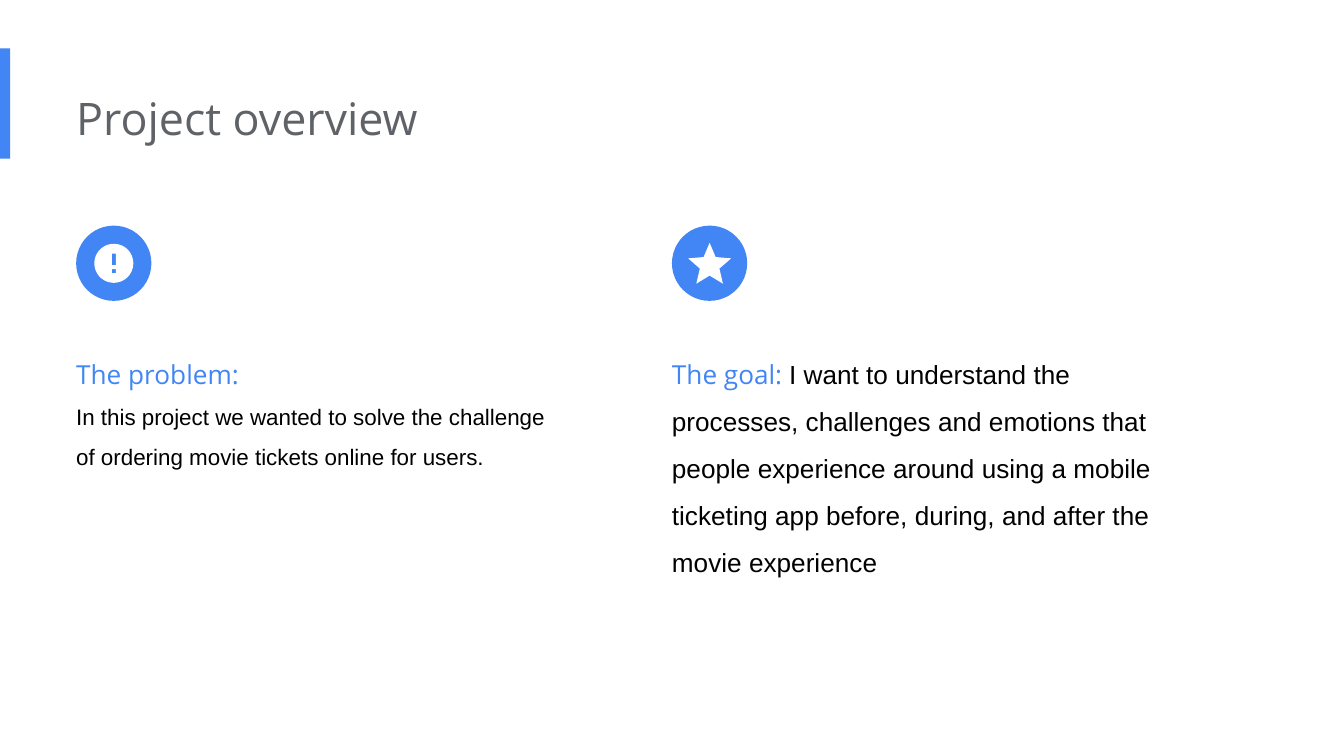
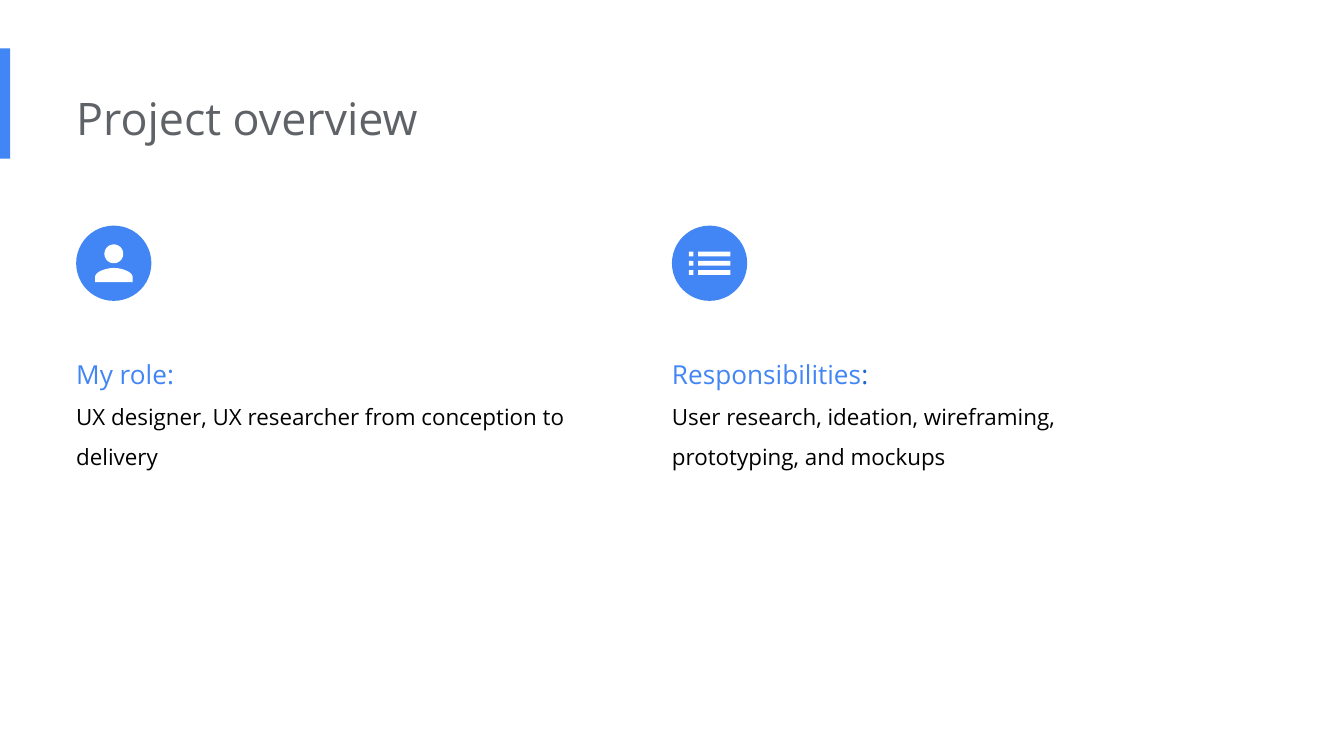
import math
from collections import namedtuple
from dataclasses import dataclass

from pptx import Presentation
from pptx import util as u
from pptx.dml import color
from pptx.enum import shapes, text

Box = namedtuple("Box", "left top width height")
Style = namedtuple("Style", "font size color")
Icon = namedtuple("Icon", "outlines width")
Card = namedtuple("Card", "icon paragraphs")


@dataclass(frozen=True)
class Theme:
    blue: str = "4285F4"
    white: str = "FFFFFF"
    title: Style = Style("Open Sans", 24, "5F6368")
    heading: Style = Style("Open Sans", 14, "4285F4")
    heading_dark: Style = Style("Open Sans", 14, "1967D2")
    body: Style = Style("Open Sans", 12, "000000")
    body_plain: Style = Style("Arial", 12, "000000")
    body_large: Style = Style("Arial", 14, "000000")
    line_spacing: float = 1.5


THEME = Theme()
WIDTH = u.Inches(10)
HEIGHT = WIDTH * 9 // 16
BADGE = u.Inches(0.56)
TEXT_DROP = u.Inches(0.77)  # from top of badge to top of text
INSET = u.Inches(0.1)


def share(left, top, width, height):
    """Box given as percentages of the slide."""
    return Box(int(WIDTH * left / 100), int(HEIGHT * top / 100),
               int(WIDTH * width / 100), int(HEIGHT * height / 100))


BAND = share(0, 6.4, 0.76, 14.6)
TITLE = share(5.67, 10.2, 67.3, 10.8)
COLUMNS = [share(left, 29.85, 37.7, 34.3) for left in (5.67, 50)]


# Icon outlines on a 24-unit grid

def rect(left, top, right, bottom):
    return [(left, top), (left, bottom), (right, bottom), (right, top)]


def circle(x, y, radius, steps=60):
    turns = [2 * math.pi * i / steps for i in range(steps)]
    return [(x + radius * math.cos(a), y + radius * math.sin(a)) for a in turns]


def curve(a, b, c, d, steps=16):
    """Points along a cubic curve."""
    points = []
    for i in range(steps + 1):
        t = i / steps
        weights = ((1 - t) ** 3, 3 * t * (1 - t) ** 2, 3 * t * t * (1 - t), t ** 3)
        points.append(tuple(sum(w * p[axis] for w, p in zip(weights, (a, b, c, d)))
                            for axis in (0, 1)))
    return points


SHOULDERS = (curve((12, 14), (9.33, 14), (4, 15.34), (4, 18)) + [(4, 20), (20, 20)]
             + curve((20, 18), (20, 15.34), (14.67, 14), (12, 14)))
ALERT = Icon([circle(12, 12, 10), rect(11, 7, 13, 13), rect(11, 15, 13, 17)], 0.29)
STAR = Icon([[(12, 17.27), (18.18, 21), (16.54, 13.97), (22, 9.24), (14.81, 8.63),
              (12, 2), (9.19, 8.63), (2, 9.24), (7.46, 13.97), (5.82, 21)]], 0.32)
PERSON = Icon([circle(12, 8, 4), SHOULDERS], 0.28)
LIST = Icon([rect(left, top, right, top + 2) for left, right in ((3, 5), (7, 21))
             for top in (7, 11, 15)], 0.31)

# Content
PROJECT_SLIDES = [
    ("Project overview", [
        Card(ALERT, [
            [("The problem:", THEME.heading)],
            [("In this project we wanted to solve the challenge of ordering movie "
              "tickets online for users.", THEME.body_plain)]]),
        Card(STAR, [
            [("The goal: ", THEME.heading),
             ("I want to understand the processes, challenges and emotions that people "
              "experience around using a mobile ticketing app before, during, and after "
              "the movie experience", THEME.body_large)]]),
    ]),
    ("Project overview", [
        Card(PERSON, [
            [("My role:", THEME.heading)],
            [("UX designer, UX researcher from conception to delivery", THEME.body)]]),
        Card(LIST, [
            [("Responsibilities", THEME.heading), (":", THEME.heading_dark)],
            [("User research, ideation, wireframing, prototyping, and mockups",
              THEME.body)]]),
    ]),
]


def paint(shape, fill):
    shape.shadow.inherit = False
    shape.fill.solid()
    shape.fill.fore_color.rgb = color.RGBColor.from_string(fill)
    shape.line.fill.background()


def set_font(font, style):
    font.name, font.size = style.font, u.Pt(style.size)
    font.color.rgb = color.RGBColor.from_string(style.color)


def set_frame(frame):
    frame.word_wrap = True
    frame.auto_size = text.MSO_AUTO_SIZE.SHAPE_TO_FIT_TEXT
    frame.vertical_anchor = text.MSO_ANCHOR.TOP
    frame.margin_left = 0
    frame.margin_top = frame.margin_right = frame.margin_bottom = INSET


def add_band(slide, layout):
    """Accent band, shared by all slides through their layout."""
    band = slide.shapes.add_shape(shapes.MSO_SHAPE.RECTANGLE, *BAND)
    paint(band, THEME.blue)
    layout.shapes.element.append(band.element)


def add_title(slide, wording):
    title = slide.shapes.title
    title.left, title.top, title.width, title.height = TITLE
    set_frame(title.text_frame)
    title.text_frame.text = wording
    line = title.text_frame.paragraphs[0]
    line.alignment = text.PP_ALIGN.LEFT
    set_font(line.font, THEME.title)


def add_badge(slide, icon, left, top):
    """Disc with the icon centred on it."""
    disc = slide.shapes.add_shape(shapes.MSO_SHAPE.OVAL, left, top, BADGE, BADGE)
    paint(disc, THEME.blue)

    xs, ys = zip(*(point for outline in icon.outlines for point in outline))
    unit = u.Inches(icon.width) / (max(xs) - min(xs))
    x0 = left + BADGE / 2 - unit * (min(xs) + max(xs)) / 2
    y0 = top + BADGE / 2 - unit * (min(ys) + max(ys)) / 2
    builder = None
    for outline in icon.outlines:
        start, *rest = [(x0 + x * unit, y0 + y * unit) for x, y in outline]
        if builder is None:
            builder = slide.shapes.build_freeform(*start)
        else:
            builder.move_to(*start)
        builder.add_line_segments(rest, close=True)
    paint(builder.convert_to_shape(), THEME.white)


def add_card(slide, card, box):
    """Badge on top, heading and body text below."""
    add_badge(slide, card.icon, box.left, box.top)
    wording = slide.shapes.add_textbox(box.left, box.top + TEXT_DROP,
                                       box.width, box.height - TEXT_DROP)
    frame = wording.text_frame
    set_frame(frame)
    for i, runs in enumerate(card.paragraphs):
        paragraph = frame.add_paragraph() if i else frame.paragraphs[0]
        paragraph.line_spacing = THEME.line_spacing
        for words, style in runs:
            run = paragraph.add_run()
            run.text = words
            if len(runs) > 1:
                set_font(run.font, style)
        if len(runs) == 1:
            set_font(paragraph.font, runs[0][1])


def add_overview(deck, layout, title, cards):
    slide = deck.slides.add_slide(layout)
    add_title(slide, title)
    for card, column in zip(cards, COLUMNS):
        add_card(slide, card, column)
    return slide


def main():
    deck = Presentation()
    deck.slide_width, deck.slide_height = WIDTH, HEIGHT
    title_only = deck.slide_layouts[5]
    overviews = [add_overview(deck, title_only, *content) for content in PROJECT_SLIDES]
    add_band(overviews[0], title_only)
    deck.save("out.pptx")


if __name__ == "__main__":
    main()
